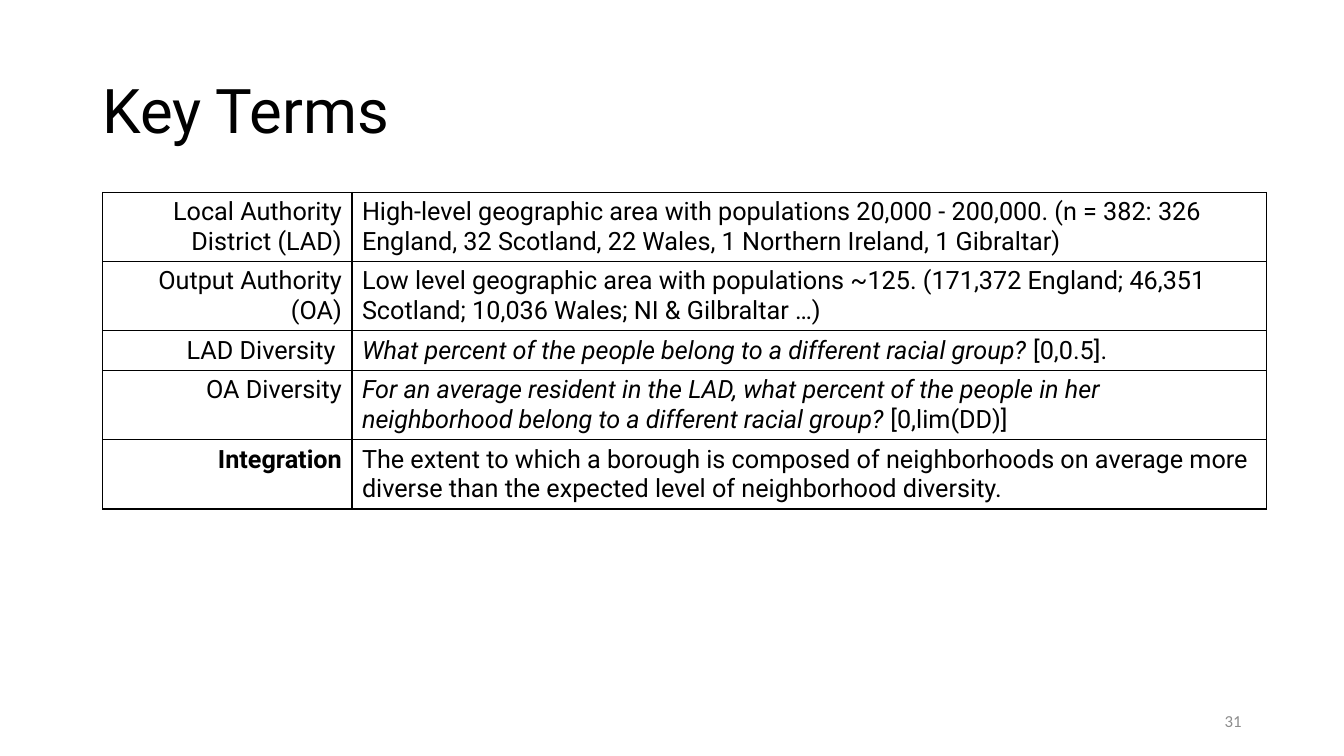
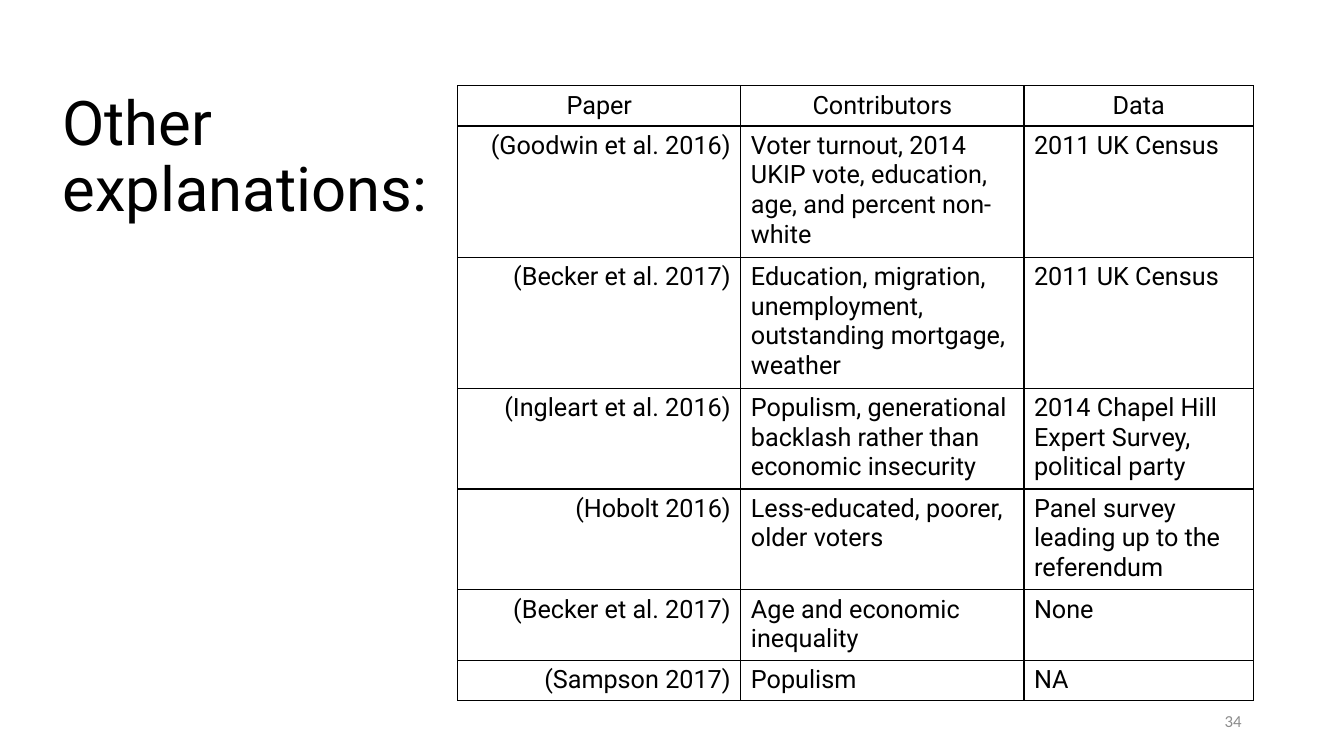
from lxml import etree
from pptx import Presentation
from pptx import util as u
from pptx.dml.color import RGBColor
from pptx.enum import text
from pptx.oxml import ns

INK = RGBColor(0x00, 0x00, 0x00)
PAPER = RGBColor(0xFF, 0xFF, 0xFF)
MUTED = RGBColor(0x8C, 0x8C, 0x8C)

SLIDE_WIDTH, SLIDE_HEIGHT = u.Inches(13.33), u.Inches(7.5)
COLUMN, ROW = SLIDE_WIDTH / 160, SLIDE_HEIGHT / 90

LEFT, CENTER, RIGHT = text.PP_ALIGN.LEFT, text.PP_ALIGN.CENTER, text.PP_ALIGN.RIGHT
TITLE = {"name": "Roboto", "size": u.Pt(44)}
BODY = {"name": "Roboto", "size": u.Pt(18)}
FOOTER = {"name": "Calibri", "size": u.Pt(12)}
ITALIC = {"italic": True}
BOLD = {"bold": True}

CELL_PADDING = u.Inches(0.1)
LINE_HEIGHT = u.Inches(0.29)
BORDER_WIDTH = u.Pt(1)

KEY_TERMS = [
    ("Local Authority District (LAD)",
     "High-level geographic area with populations 20,000 - 200,000. "
     "(n = 382: 326 England, 32 Scotland, 22 Wales, 1 Northern Ireland, 1 Gibraltar)"),
    ("Output Authority (OA)",
     "Low level geographic area with populations ~125. "
     "(171,372 England; 46,351 Scotland; 10,036 Wales; NI & Gilbraltar …)"),
    ("LAD Diversity ",
     [("What percent of the people belong to a different racial group?", ITALIC),
      (" [0,0.5].", {})]),
    ("OA Diversity",
     [("For an average resident in the LAD, what percent of the people in her "
       "neighborhood belong to a different racial group? ", ITALIC),
      ("[0,lim(DD)]", {})]),
    ([("Integration", BOLD)],
     "The extent to which a borough is composed of neighborhoods on average "
     "more diverse than the expected level of neighborhood diversity."),
]

EXPLANATIONS = [
    ("Paper", "Contributors", "Data"),
    ("(Goodwin et al. 2016)",
     "Voter turnout, 2014 UKIP vote, education, age, and percent non-white",
     "2011 UK Census"),
    ("(Becker et al. 2017)",
     "Education, migration, unemployment, outstanding mortgage, weather",
     "2011 UK Census"),
    ("(Ingleart et al. 2016)",
     "Populism, generational backlash rather than economic insecurity",
     "2014 Chapel Hill Expert Survey, political party"),
    ("(Hobolt 2016)", "Less-educated, poorer, older voters",
     "Panel survey leading up to the referendum"),
    ("(Becker et al. 2017)", "Age and economic inequality", "None"),
    ("(Sampson 2017)", "Populism", "NA"),
]


def style(font, color, *formats):
    for values in formats:
        for attribute, value in values.items():
            setattr(font, attribute, value)
    font.color.rgb = color


def add_label(slide, wording, left, top, width, height, look, color,
              align=LEFT, spacing=1.0):
    label = slide.shapes.add_textbox(
        round(left * COLUMN), round(top * ROW), round(width * COLUMN), round(height * ROW))
    frame = label.text_frame
    frame.word_wrap = True
    frame.vertical_anchor = text.MSO_ANCHOR.MIDDLE
    frame.text = wording
    paragraph = frame.paragraphs[0]
    paragraph.alignment = align
    paragraph.line_spacing = spacing
    for run in paragraph.runs:
        style(run.font, color, look)


def add_title(slide, wording, left, top):
    add_label(slide, wording, left, top, 138, 17.4, TITLE, INK, spacing=0.9)


def add_page_number(slide, number):
    add_label(slide, str(number), 113, 83.4, 36, 4.8, FOOTER, MUTED, RIGHT)


def draw_borders(cell):
    properties = cell._tc.get_or_add_tcPr()
    for side in ("a:lnL", "a:lnR", "a:lnT", "a:lnB"):
        border = etree.SubElement(properties, ns.qn(side), w=str(BORDER_WIDTH))
        fill = etree.SubElement(border, ns.qn("a:solidFill"))
        etree.SubElement(fill, ns.qn("a:srgbClr"), val=str(INK))


def fill_cell(cell, content, align):
    draw_borders(cell)
    cell.fill.solid()
    cell.fill.fore_color.rgb = PAPER
    paragraph = cell.text_frame.paragraphs[0]
    paragraph.alignment = align
    pieces = [(content, {})] if isinstance(content, str) else content
    for wording, emphasis in pieces:
        run = paragraph.add_run()
        run.text = wording
        style(run.font, INK, BODY, emphasis)


def add_grid(slide, entries, left, top, widths, line_counts, has_header=False):
    heights = [CELL_PADDING + LINE_HEIGHT * lines for lines in line_counts]
    grid = slide.shapes.add_table(
        len(entries), len(widths), round(left * COLUMN), round(top * ROW),
        round(sum(widths) * COLUMN), sum(heights)).table
    grid.first_row = grid.horz_banding = False
    for column, width in zip(grid.columns, widths):
        column.width = round(width * COLUMN)
    for index, (row, height, entry) in enumerate(zip(grid.rows, heights, entries)):
        row.height = height
        for position, (cell, content) in enumerate(zip(row.cells, entry)):
            align = RIGHT if position == 0 else LEFT
            fill_cell(cell, content, CENTER if has_header and index == 0 else align)


def add_key_terms(slide):
    add_grid(slide, KEY_TERMS, 12.25, 22.9, [29.65, 108.85], [2, 2, 1, 2, 2])
    add_title(slide, "Key Terms", 11, 4.8)
    add_page_number(slide, 31)


def add_explanations(slide):
    add_title(slide, "Other\vexplanations:", 6.25, 10.2)
    add_grid(slide, EXPLANATIONS, 54.5, 10.2, [33.7, 33.7, 27.35],
             [1, 4, 4, 3, 3, 2, 1], has_header=True)
    add_page_number(slide, 34)


def main():
    deck = Presentation()
    deck.slide_width, deck.slide_height = SLIDE_WIDTH, SLIDE_HEIGHT
    blank = deck.slide_layouts[6]
    for build in (add_key_terms, add_explanations):
        build(deck.slides.add_slide(blank))
    deck.save("out.pptx")


if __name__ == "__main__":
    main()
